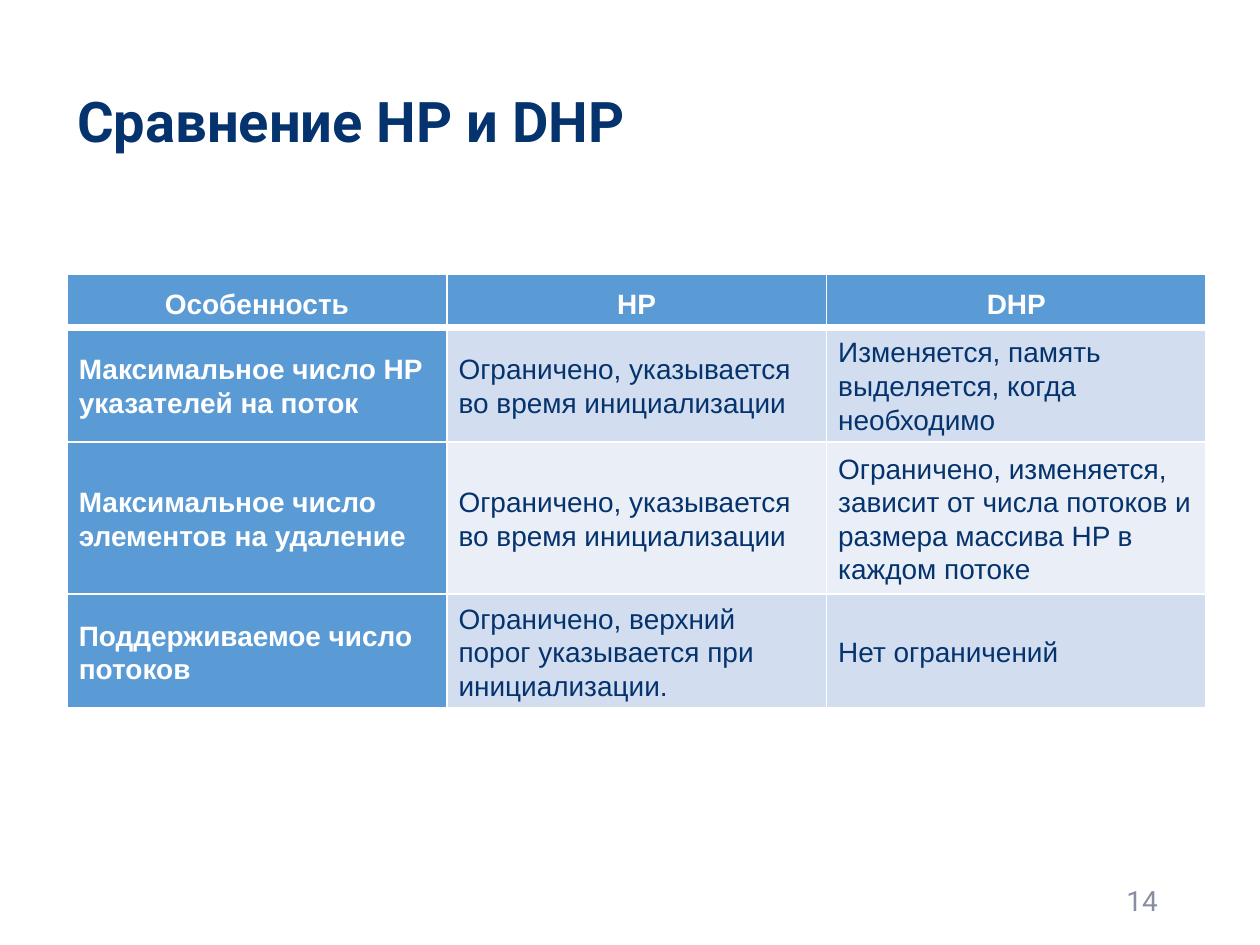
from dataclasses import dataclass

from lxml.etree import SubElement
from pptx import Presentation
from pptx.dml.color import RGBColor
from pptx.enum.text import MSO_ANCHOR, PP_ALIGN
from pptx.oxml.ns import qn
from pptx.util import Inches, Pt


@dataclass(frozen=True)
class Theme:
    """Colours, fonts and type sizes of the slide."""
    navy: str = "05336E"
    blue: str = "5B9BD5"
    white: str = "FFFFFF"
    grey: str = "888DA2"
    bands: tuple = ("D2DEEF", "EAEFF7")
    heading_font: str = "Roboto"
    table_font: str = "Arial"
    title_size: int = 24
    text_size: int = 12
    rule: int = 1
    header_rule: int = 3


THEME = Theme()
WIDTH = 7.5
HEIGHT = WIDTH * 3 / 4
TITLE_BOX = (0.36, 0.44, 4.87, 0.6)
TABLE_BOX = (0.4, 1.63, 6.78, 2.58)
NUMBER_BOX = (5.3, 5.21, 1.69, 0.3)
ROW_HEIGHTS = (0.31, 0.68, 0.9, 0.68)
FEATURES = (
    ("Особенность", "HP", "DHP"),
    ("Максимальное число HP указателей на поток",
     "Ограничено, указывается во время инициализации",
     "Изменяется, память выделяется, когда необходимо"),
    ("Максимальное число элементов на удаление",
     "Ограничено, указывается во время инициализации",
     "Ограничено, изменяется, зависит от числа потоков и размера массива HP в каждом потоке"),
    ("Поддерживаемое число потоков",
     "Ограничено, верхний порог указывается при инициализации.",
     "Нет ограничений"),
)


def write(frame, text, font, size, color, bold=False, align=PP_ALIGN.LEFT):
    """Fill a text frame with one formatted paragraph and return it."""
    frame.text = text
    para = frame.paragraphs[0]
    para.alignment = align
    span = para.runs[0]
    span.font.name = font
    span.font.size = Pt(size)
    span.font.bold = bold
    span.font.color.rgb = RGBColor.from_string(color)
    return para


def add_title(page, box):
    """Place the slide title in its placeholder."""
    title = page.shapes.title
    title.left, title.top, title.width, title.height = map(Inches, box)
    frame = title.text_frame
    frame.word_wrap = True
    frame.vertical_anchor = MSO_ANCHOR.MIDDLE
    para = write(frame, "Сравнение HP и DHP", THEME.heading_font,
                 THEME.title_size, THEME.navy, bold=True)
    para.line_spacing = 0.9


def set_borders(cell, top, bottom):
    """Draw white rules on the four sides of a cell."""
    properties = cell._tc.get_or_add_tcPr()
    sides = {"L": THEME.rule, "R": THEME.rule, "T": top, "B": bottom}
    for side, points in sides.items():
        line = SubElement(properties, qn(f"a:ln{side}"), w=str(Pt(points)))
        fill = SubElement(line, qn("a:solidFill"))
        SubElement(fill, qn("a:srgbClr"), val=THEME.white)


def style_cell(cell, text, row, column):
    """Write and format one cell according to its row and column."""
    header = row == 0
    label = header or column == 0
    cell.vertical_anchor = MSO_ANCHOR.MIDDLE
    cell.margin_left = cell.margin_right = Inches(0.07)
    cell.margin_top = Inches(0.05 if header else 0.03)
    cell.margin_bottom = Inches(0.04 if header else 0.02)
    set_borders(cell, THEME.header_rule if row == 1 else THEME.rule,
                THEME.header_rule if header else THEME.rule)
    cell.fill.solid()
    band = THEME.bands[(row - 1) % 2]
    cell.fill.fore_color.rgb = RGBColor.from_string(THEME.blue if label else band)
    para = write(cell.text_frame, text, THEME.table_font, THEME.text_size,
                 THEME.white if label else THEME.navy, bold=label,
                 align=PP_ALIGN.CENTER if header else PP_ALIGN.LEFT)
    para.line_spacing = Pt(16.5) if header else 1.07
    para.space_before = Pt(3 if header else 0)
    para.space_after = Pt(3 if header else 8)


def add_comparison(page, box):
    """Place the comparison table with equal columns."""
    columns = len(FEATURES[0])
    table = page.shapes.add_table(len(FEATURES), columns, *map(Inches, box)).table
    for column in table.columns:
        column.width = Inches(box[2] / columns)
    for row, height in zip(table.rows, ROW_HEIGHTS):
        row.height = Inches(box[3] * height / sum(ROW_HEIGHTS))
    for row, texts in enumerate(FEATURES):
        for column, text in enumerate(texts):
            style_cell(table.cell(row, column), text, row, column)


def add_page_number(page, box):
    """Place the page number at the lower right."""
    frame = page.shapes.add_textbox(*map(Inches, box)).text_frame
    frame.word_wrap = True
    frame.vertical_anchor = MSO_ANCHOR.MIDDLE
    write(frame, "14", THEME.heading_font, THEME.text_size, THEME.grey,
          align=PP_ALIGN.RIGHT)


def main():
    """Build the deck and save it."""
    deck = Presentation()
    deck.slide_width, deck.slide_height = Inches(WIDTH), Inches(HEIGHT)
    page = deck.slides.add_slide(deck.slide_layouts.get_by_name("Title Only"))
    add_title(page, TITLE_BOX)
    add_comparison(page, TABLE_BOX)
    add_page_number(page, NUMBER_BOX)
    deck.save("out.pptx")


if __name__ == "__main__":
    main()
